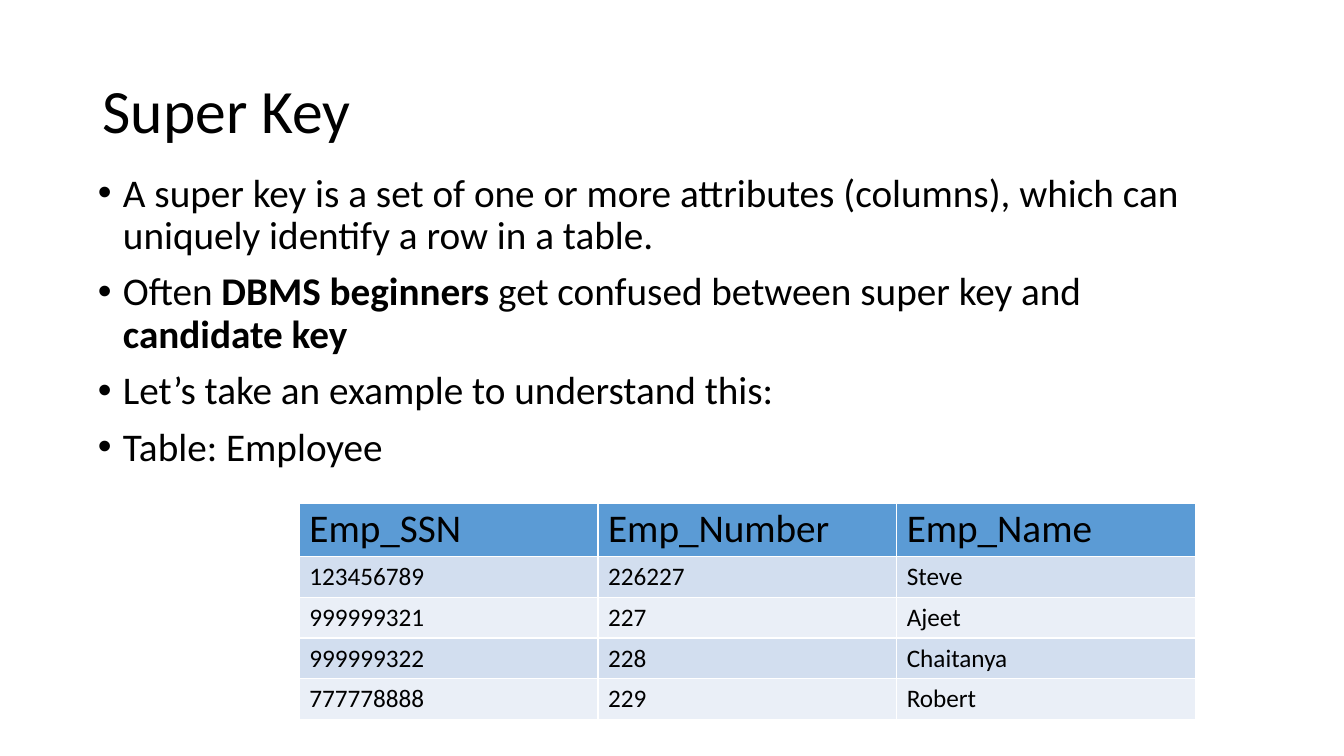
from dataclasses import dataclass

from pptx import Presentation
from pptx.dml.color import RGBColor as Rgb
from pptx.enum.text import MSO_ANCHOR as Anchor, MSO_AUTO_SIZE as AutoSize, PP_ALIGN as Align
from pptx.oxml.ns import qn
from pptx.util import Pt
from lxml.etree import SubElement


@dataclass(frozen=True)
class Theme:
    """Colours, font and type sizes of the slide."""
    font: str = "Calibri"
    ink: Rgb = Rgb(0x00, 0x00, 0x00)
    header: Rgb = Rgb(0x5B, 0x9B, 0xD5)
    bands: tuple = (Rgb(0xD2, 0xDE, 0xEF), Rgb(0xEA, 0xEF, 0xF7))
    title_size: float = 44
    body_size: float = 28
    cell_size: float = 18
    line_spacing: float = 0.9


THEME = Theme()
TITLE_BOX = (66, 28.8, 828, 104.4)
POINTS_BOX = (62.64, 120.24, 828, 342.72)
EMPLOYEE_BOX = (213.84, 359.28, 640.08, 154.3)
HEADER_HEIGHT = 37.5

POINTS = [
    [("A super key is a set of one or more attributes (columns), which can "
      "uniquely identify a row in a table.", False)],
    [("Often ", False), ("DBMS beginners", True),
     (" get confused between super key and ", False), ("candidate key", True)],
    [("Let’s take an example to understand this:", False)],
    [("Table: Employee", False)],
]
EMPLOYEES = [
    ("Emp_SSN", "Emp_Number", "Emp_Name"),
    ("123456789", "226227", "Steve"),
    ("999999321", "227", "Ajeet"),
    ("999999322", "228", "Chaitanya"),
    ("777778888", "229", "Robert"),
]


def place(holder, box):
    """Move a placeholder to its box and fix its text size."""
    holder.left, holder.top, holder.width, holder.height = map(Pt, box)
    holder.text_frame.word_wrap = True
    holder.text_frame.auto_size = AutoSize.NONE


def add_text(paragraph, text, size, bold=False):
    """Add one styled run to a paragraph."""
    run = paragraph.add_run()
    run.text = text
    run.font.name, run.font.size, run.font.bold = THEME.font, Pt(size), bold
    run.font.color.rgb = THEME.ink


def fill_title(title, box):
    """Write the heading, left aligned and vertically centred."""
    place(title, box)
    title.text_frame.vertical_anchor = Anchor.MIDDLE
    heading = title.text_frame.paragraphs[0]
    heading.alignment = Align.LEFT
    heading.line_spacing = THEME.line_spacing
    add_text(heading, "Super Key", THEME.title_size)


def fill_points(body, box):
    """Write the bulleted points."""
    place(body, box)
    frame = body.text_frame
    for index, parts in enumerate(POINTS):
        point = frame.add_paragraph() if index else frame.paragraphs[0]
        properties = point._p.get_or_add_pPr()
        properties.set("marL", str(Pt(18)))
        properties.set("indent", str(Pt(-18)))
        SubElement(properties, qn("a:buFont")).set("typeface", "Arial")
        SubElement(properties, qn("a:buChar")).set("char", "•")
        point.line_spacing = THEME.line_spacing
        point.space_before = Pt(10 if index else 0)
        for text, bold in parts:
            add_text(point, text, THEME.body_size, bold)


def add_employees(slide, box):
    """Add the employee table with a header row and banded rows."""
    height = box[3]
    row_count, column_count = len(EMPLOYEES), len(EMPLOYEES[0])
    table = slide.shapes.add_table(row_count, column_count, *map(Pt, box)).table
    for index, (row, values) in enumerate(zip(table.rows, EMPLOYEES)):
        is_header = index == 0
        row.height = Pt(HEADER_HEIGHT if is_header else (height - HEADER_HEIGHT) / (row_count - 1))
        for cell, value in zip(row.cells, values):
            cell.fill.solid()
            cell.fill.fore_color.rgb = THEME.header if is_header else THEME.bands[(index - 1) % 2]
            entry = cell.text_frame.paragraphs[0]
            if is_header:
                entry.line_spacing = THEME.line_spacing
            add_text(entry, value, THEME.body_size if is_header else THEME.cell_size)


def main():
    """Build the Super Key slide and save it."""
    deck = Presentation()
    deck.slide_width, deck.slide_height = Pt(960), Pt(540)
    slide = deck.slides.add_slide(deck.slide_layouts[1])
    fill_title(slide.shapes.title, TITLE_BOX)
    fill_points(slide.placeholders[1], POINTS_BOX)
    add_employees(slide, EMPLOYEE_BOX)
    deck.save("out.pptx")


if __name__ == "__main__":
    main()
